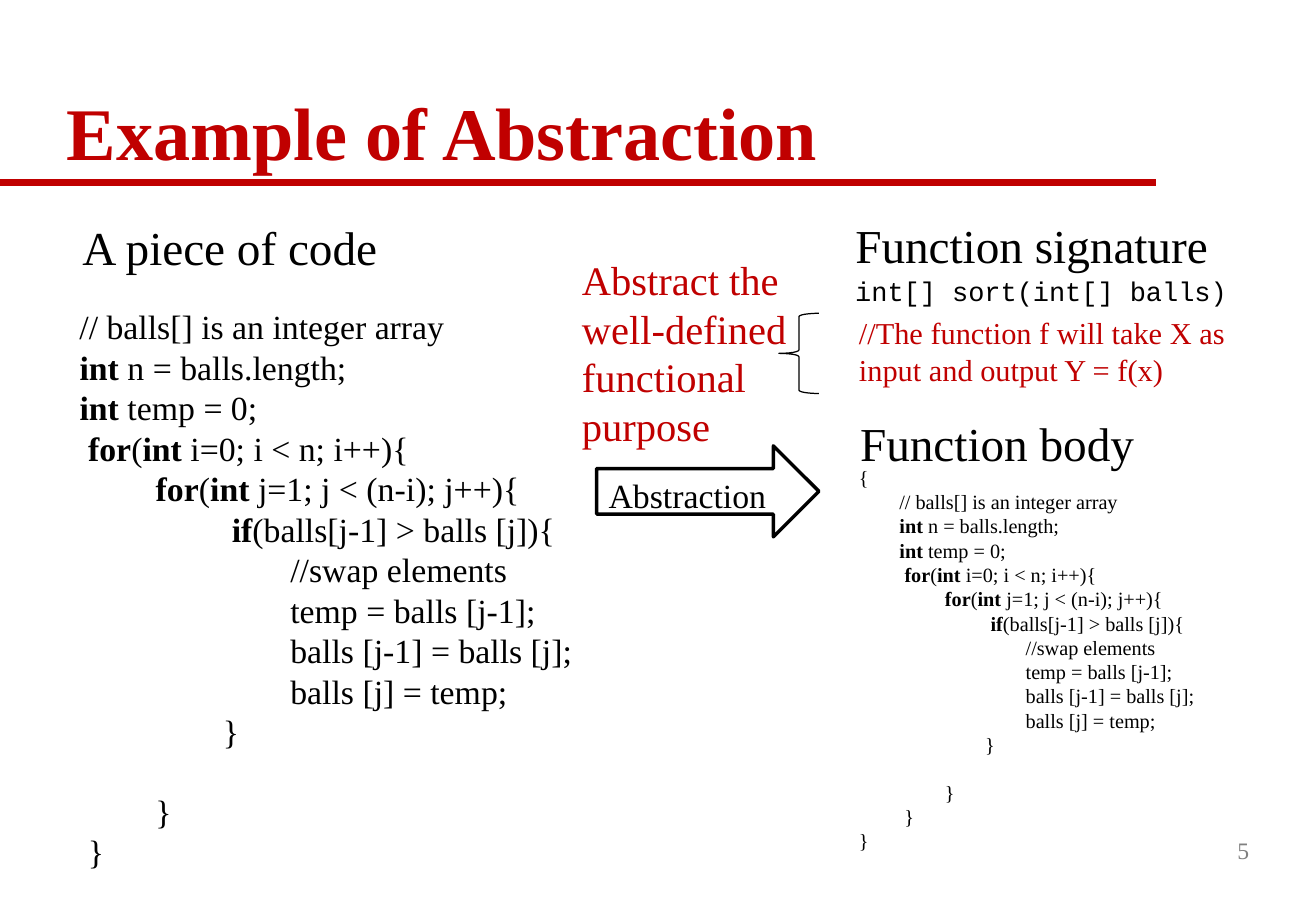
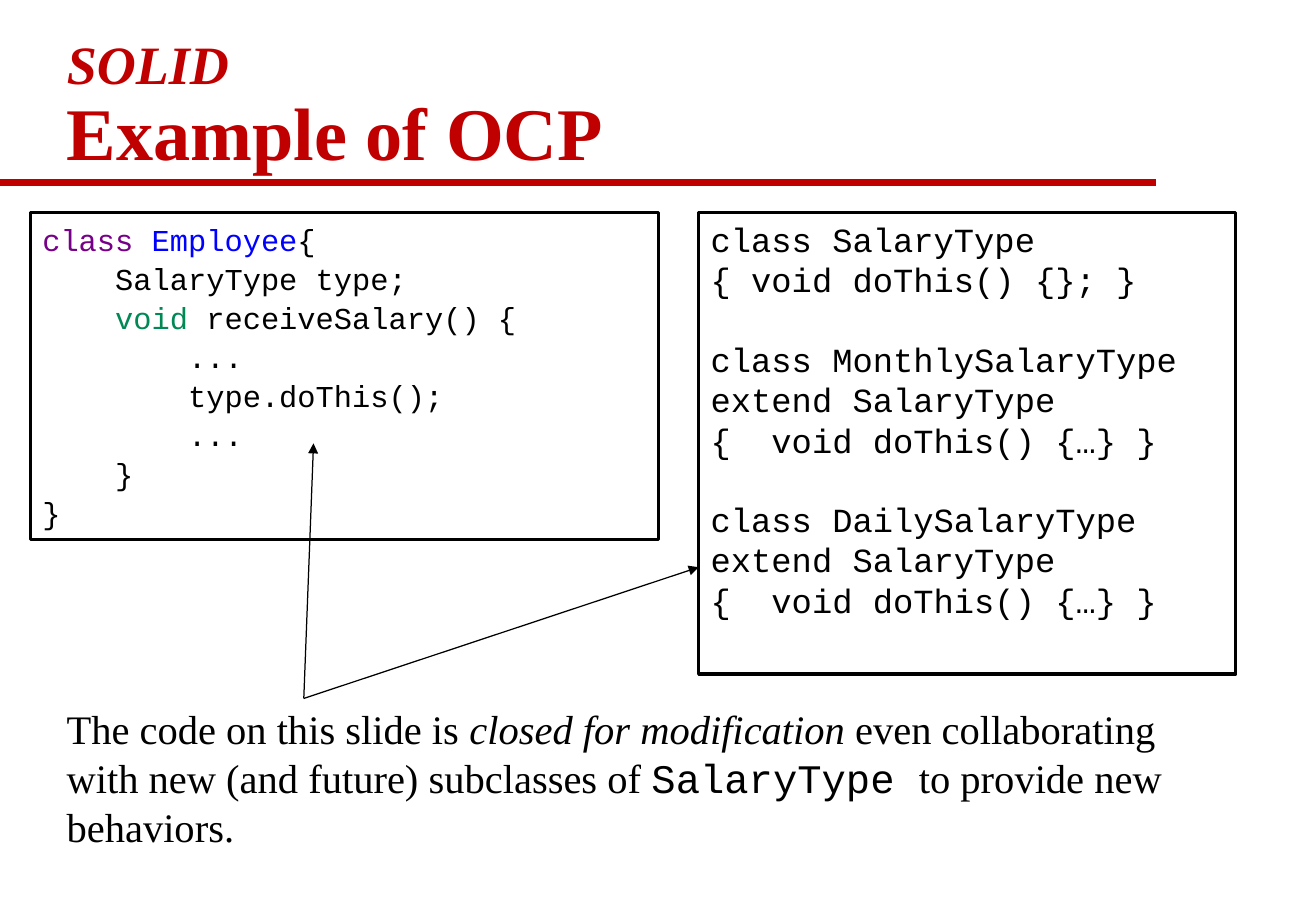
"""Build two slides on abstraction and the open-closed principle."""
from dataclasses import dataclass
from typing import Optional, Union

from lxml import etree
from pptx import Presentation
from pptx.dml.color import RGBColor
from pptx.enum.shapes import MSO_CONNECTOR, MSO_SHAPE
from pptx.enum.text import MSO_ANCHOR, MSO_AUTO_SIZE, PP_ALIGN
from pptx.oxml.ns import qn
from pptx.util import Inches, Pt

LEFT, RIGHT = PP_ALIGN.LEFT, PP_ALIGN.RIGHT
TOP, MID, LOW = MSO_ANCHOR.TOP, MSO_ANCHOR.MIDDLE, MSO_ANCHOR.BOTTOM
FIXED = MSO_AUTO_SIZE.NONE
RECT, ARROW, BRACE = MSO_SHAPE.RECTANGLE, MSO_SHAPE.RIGHT_ARROW, MSO_SHAPE.LEFT_BRACE
LINE = MSO_CONNECTOR.STRAIGHT
CELL = 0.25
SERIF, MONO = "Times New Roman", "Courier New"
HUES = {
    "red": "C00000", "black": "000000", "white": "FFFFFF", "gray": "808080",
    "plum": "770088", "blue": "0000FF", "green": "008855",
}


@dataclass(frozen=True)
class Run:
    """Hold a piece of text and what sets it apart from its box."""
    text: str
    bold: Optional[bool] = None
    ital: bool = False
    size: Optional[float] = None
    font: Optional[str] = None
    hue: Optional[str] = None


@dataclass(frozen=True)
class Box:
    """Hold a place in grid cells."""
    x: float
    y: float
    w: float
    h: float

    def place(self) -> tuple:
        """Return left, top, width and height as lengths."""
        return tuple(cells(n) for n in (self.x, self.y, self.w, self.h))


@dataclass(frozen=True)
class Label:
    """Hold a text box with its format."""
    box: Box
    paras: list
    size: float
    font: str = SERIF
    hue: str = "black"


Para = Union[str, list]


def cells(count: float) -> int:
    """Turn a count of grid cells into a length."""
    return Inches(count * CELL)


def color(hue: str) -> RGBColor:
    """Look up a colour by name."""
    return RGBColor.from_string(HUES[hue])


def mark(line: str) -> list:
    """Split a code line into runs, bold between asterisks."""
    return [Run(part, bold=n % 2 == 1) for n, part in enumerate(line.split("*")) if part]


def write(frame, paras: list[Para], *, size: float, font: str = SERIF, hue: str = "black",
          bold: bool = False, align=LEFT, anchor=TOP, lead: float = 1.0) -> None:
    """Fill a text frame; an empty entry opens a gap of one line."""
    frame.word_wrap, frame.auto_size, frame.vertical_anchor = True, FIXED, anchor
    frame.margin_left = frame.margin_right = Inches(0.1)
    frame.margin_top = frame.margin_bottom = Inches(0.05)
    para, gap = frame.paragraphs[0], 0.0
    first = True
    for item in paras:
        if not item:
            gap = size * 1.15
            continue
        if not first:
            para = frame.add_paragraph()
        first = False
        para.alignment, para.line_spacing = align, lead
        para.space_before, gap = Pt(gap), 0.0
        for part in [Run(item)] if isinstance(item, str) else item:
            run = para.add_run()
            run.text = part.text
            run.font.size = Pt(part.size or size)
            run.font.name = part.font or font
            run.font.bold = bold if part.bold is None else part.bold
            run.font.italic = part.ital
            run.font.color.rgb = color(part.hue or hue)


def label(slide, item: Label, **form) -> None:
    """Add a text box."""
    frame = slide.shapes.add_textbox(*item.box.place()).text_frame
    write(frame, item.paras, size=item.size, font=item.font, hue=item.hue, **form)


def shape(slide, kind, box: Box, width: float, fill: bool = True):
    """Add a preset shape with a black outline."""
    form = slide.shapes.add_shape(kind, *box.place())
    form.shadow.inherit = False
    if fill:
        form.fill.solid()
        form.fill.fore_color.rgb = color("white")
    else:
        form.fill.background()
    form.line.color.rgb = color("black")
    form.line.width = Pt(width)
    return form


def stroke(slide, start: tuple, end: tuple, hue: str, width: float, tip: bool = False) -> None:
    """Draw a straight line, with an arrowhead if wanted."""
    line = slide.shapes.add_connector(LINE, *(cells(n) for n in (*start, *end)))
    line.line.color.rgb = color(hue)
    line.line.width = Pt(width)
    props = line._element.spPr
    if tip:
        etree.SubElement(props.find(qn("a:ln")), qn("a:tailEnd"), type="triangle")
    etree.SubElement(props, qn("a:effectLst"))


def start(deck, title: list[Para]):
    """Add a slide with the shared title and rule."""
    slide = deck.slides.add_slide(deck.slide_layouts[5])
    stroke(slide, (0, 6), (38.04, 6), "red", 4)
    head = slide.shapes.title
    head.left, head.top, head.width, head.height = Box(1.8, 1.16, 39.52, 4.84).place()
    write(head.text_frame, title, size=44, hue="red", bold=True, anchor=LOW, lead=0.9)
    return slide


CODE = [mark(line) for line in (
    "        // balls[] is an integer array",
    "        *int* n = balls.length;",
    "        *int* temp = 0;",
    "         *for*(*int* i=0; i < n; i++){",
    "                 *for*(*int* j=1; j < (n-i); j++){",
    "                          *if*(balls[j-1] > balls [j]){",
    "                                 //swap elements",
    "                                 temp = balls [j-1];",
    "                                 balls [j-1] = balls [j];",
    "                                 balls [j] = temp;",
    "                         }",
    "",
    "                 }",
    "         }",
)]

NOTES = [
    Label(Box(0, 9.88, 19.96, 19.24), CODE, 20),
    Label(Box(2.32, 7, 11, 2.28), ["A piece of code"], 28),
    Label(Box(27.76, 8.84, 13.48, 1.48), ["int[] sort(int[] balls)"], 16, MONO),
    Label(Box(27.76, 6.92, 13, 2.28), ["Function signature"], 28),
    Label(Box(27.92, 13.44, 10.4, 2.28), ["Function body"], 28),
    Label(Box(27.88, 15.12, 12.32, 13.32), ["{", *CODE, "}"], 12),
    Label(Box(27.88, 10.16, 14.04, 2.84),
          ["//The function f will take X as input and output Y = f(x)"], 18, hue="red"),
    Label(Box(18.76, 8.2, 9, 6.88),
          ["Abstract the", "well-defined", "functional purpose"], 24, hue="red"),
]

STAFF = [
    [Run("class ", hue="plum"), Run("Employee", hue="blue"), Run("{")],
    "    SalaryType type;",
    [Run("    "), Run("void ", hue="green"), Run("receiveSalary() {")],
    "        ...",
    "        type.doThis();",
    "        ...",
    "    }",
    "}",
]

TYPES = [
    "class SalaryType",
    "{ void doThis() {}; }",
    "",
    "class MonthlySalaryType extend SalaryType",
    "{  void doThis() {…} }",
    "",
    "class DailySalaryType extend SalaryType",
    "{  void doThis() {…} }",
]

CLAIM = [[
    Run("The code on this slide is "),
    Run("closed for modification ", ital=True),
    Run("even collaborating with new (and future) subclasses of "),
    Run("SalaryType ", font=MONO),
    Run("to provide new behaviors."),
]]


def sorting(deck) -> None:
    """Build the slide that turns code into a function."""
    slide = start(deck, ["Example of Abstraction"])
    arrow = shape(slide, ARROW, Box(19.64, 14.68, 7.32, 3), 2)
    write(arrow.text_frame, ["Abstraction"], size=20)
    shape(slide, BRACE, Box(25.64, 10.32, 1.32, 2.64), 0.75, fill=False)
    for note in NOTES:
        label(slide, note)
    page = Label(Box(32.48, 27, 9.04, 2), ["5"], 14, hue="gray")
    label(slide, page, align=RIGHT, anchor=MID)


def salary(deck) -> None:
    """Build the slide on the open-closed principle."""
    slide = start(deck, [[Run("SOLID", ital=True, size=32)], "Example of OCP"])
    for box, code, size, lead in (
        (Box(1, 7, 20.68, 10.76), STAFF, 18, 1.07),
        (Box(23, 7, 17.68, 15.2), TYPES, 20, 1.0),
    ):
        panel = shape(slide, RECT, box, 2)
        write(panel.text_frame, code, size=size, font=MONO, lead=lead)
    for end in ((10.32, 14.6), (23, 18.68)):
        stroke(slide, (10, 23), end, "black", 0.75, tip=True)
    label(slide, Label(Box(1.8, 23, 38.52, 5.24), CLAIM, 24))


def main() -> None:
    """Build and save the deck."""
    deck = Presentation()
    deck.slide_width, deck.slide_height = Inches(10.83), Inches(7.5)
    sorting(deck)
    salary(deck)
    deck.save("out.pptx")


if __name__ == "__main__":
    main()
